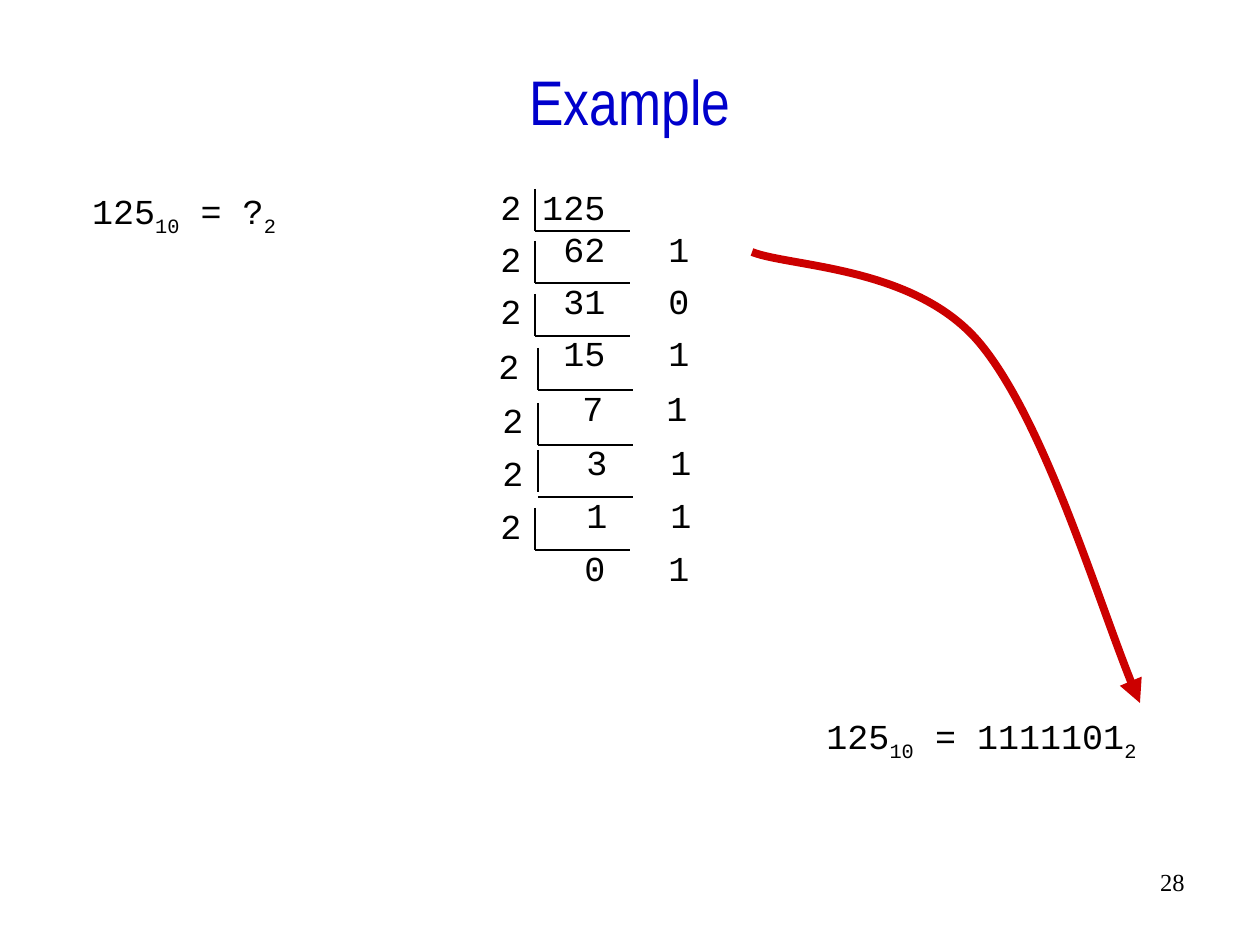
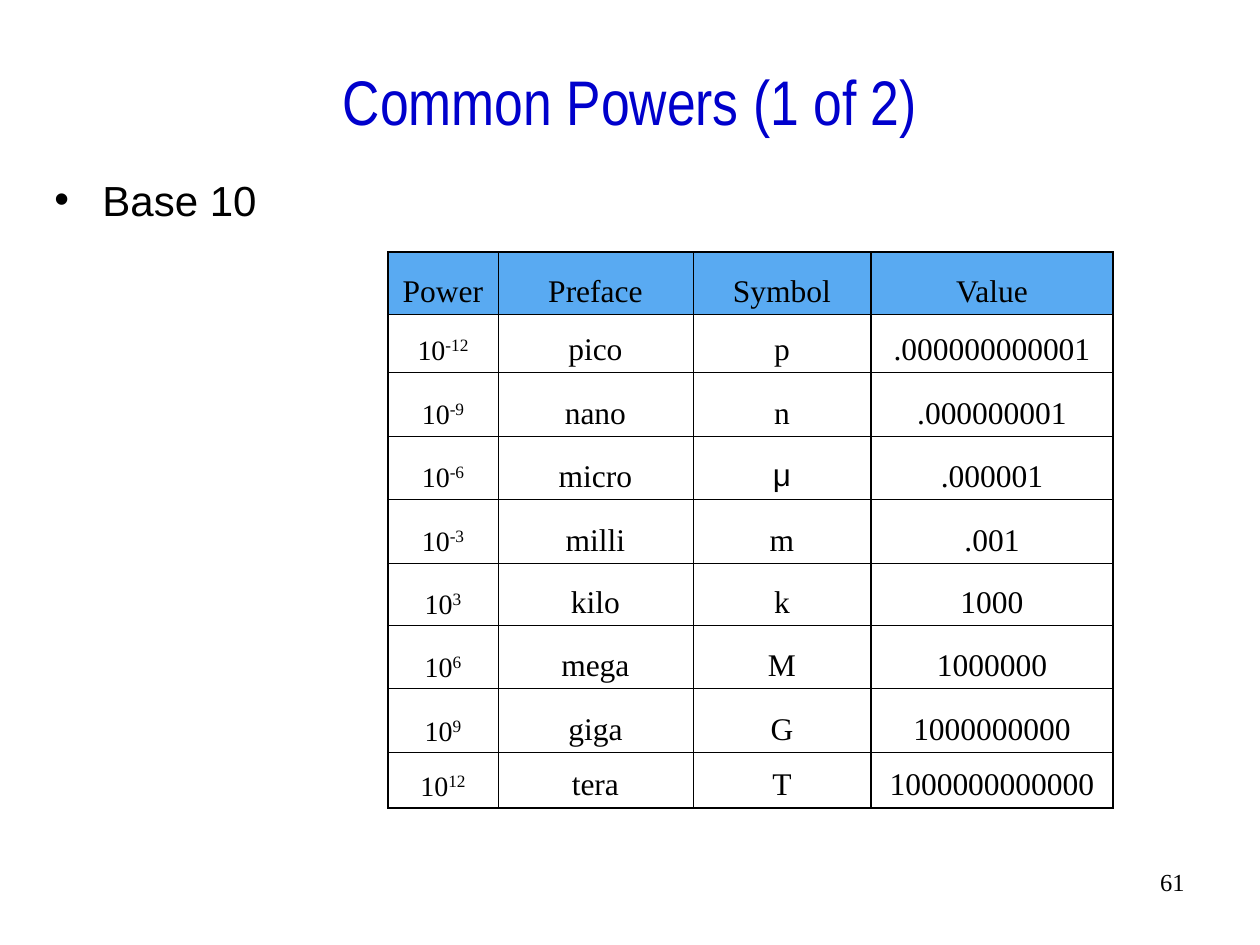
import pptx
import pptx.util
import pptx.dml.color
import pptx.enum.shapes
import pptx.enum.text
import pptx.oxml.ns
import lxml.etree

# Shared style
PX = 914400 // 126
COLORS = {"title": "0000CC", "text": "000000", "arrow": "CC0000", "header": "59AAF2"}
SANS, NARROW, MONO, SERIF = "Arial", "Arial Narrow", "Courier New", "Times New Roman"
ALIGN = pptx.enum.text.PP_ALIGN
ANCHOR = pptx.enum.text.MSO_ANCHOR
TITLE_BOX = (21, 42, 1218, 116)
NUMBER_BOX = (935, 861, 262, 63)
MONO_LEADING = 24

# Content of the division slide
DIVISION = {
    "title": "Example",
    "number": "28",
    "equations": [
        ((42, 189, 284, 60), [("125", 0), ("10", -25), (" = ?", 0), ("2", -25)]),
        ((756, 714, 451, 60), [("125", 0), ("10", -25), (" = 1111101", 0), ("2", -25)]),
    ],
    "dividend": 125,
    "base": 2,
    # text left, text top, bar x, bar top, underline y
    "steps": [
        (488, 179, 535, 189, 231),
        (488, 231, 535, 241, 283),
        (488, 283, 535, 294, 336),
        (486, 338, 538, 348, 390),
        (490, 392, 538, 403, 445),
        (490, 445, 538, 450, 497),
        (488, 498, 535, 508, 550),
    ],
}
STEP_SIZE = (284, 97)
BAR_HEIGHT, UNDERLINE_WIDTH = 42, 95
QUOTIENT_TAB, REMAINDER_TAB = 105, 189
ARROW_CURVE = [(752, 252), (790, 267), (913, 266), (978, 341),
               (1043, 417), (1106, 627), (1140, 703)]

# Content of the powers slide
POWERS = {
    "title": "Common Powers (1 of 2)",
    "number": "61",
    "bullet": "Base 10",
    "header": ("Power", "Preface", "Symbol", "Value"),
    "rows": [
        ("-12", "pico", "p", ".000000000001"),
        ("-9", "nano", "n", ".000000001"),
        ("-6", "micro", "μ", ".000001"),
        ("-3", "milli", "m", ".001"),
        ("3", "kilo", "k", "1000"),
        ("6", "mega", "M", "1000000"),
        ("9", "giga", "G", "1000000000"),
        ("12", "tera", "T", "1000000000000"),
    ],
}
BULLET_BOX = (42, 168, 1155, 672)
BULLET_INDENT = 48
TABLE_LEFT, TABLE_TOP = 388, 252
NAME_WIDTHS, VALUE_WIDTHS = [110, 195, 178], [242]
ROW_HEIGHTS = [62, 58, 64, 63, 64, 63, 63, 64, 55]
OUTER_LINE, INNER_LINE = 1.08, 0.45


def rgb(name):
    return pptx.dml.color.RGBColor.from_string(COLORS[name])


def emu(values):
    return [value * PX for value in values]


def add_xml(parent, tag, **attributes):
    element = lxml.etree.SubElement(parent, pptx.oxml.ns.qn(tag))
    for key, value in attributes.items():
        element.set(key, str(value))
    return element


def add_run(paragraph, text, font, size, color="text", baseline=0):
    run = paragraph.add_run()
    run.text = text
    run.font.name, run.font.size = font, pptx.util.Pt(size)
    run.font.color.rgb = rgb(color)
    if baseline:
        run.font._element.set("baseline", str(baseline * 1000))


def add_text_box(slide, box, align=ALIGN.LEFT):
    frame = slide.shapes.add_textbox(*emu(box)).text_frame
    frame.word_wrap = True
    paragraph = frame.paragraphs[0]
    paragraph.alignment = align
    return paragraph


def add_slide(deck, content):
    slide = deck.slides.add_slide(deck.slide_layouts[5])
    title = slide.shapes.title
    title.left, title.top, title.width, title.height = emu(TITLE_BOX)
    title.text_frame.auto_size = pptx.enum.text.MSO_AUTO_SIZE.NONE
    title.text_frame.vertical_anchor = ANCHOR.MIDDLE
    heading = title.text_frame.paragraphs[0]
    heading.alignment = ALIGN.CENTER
    add_run(heading, content["title"], NARROW, 36, "title")
    add_run(add_text_box(slide, NUMBER_BOX, ALIGN.RIGHT), content["number"], SERIF, 14)
    return slide


def add_line(slide, *ends):
    line = slide.shapes.add_connector(pptx.enum.shapes.MSO_CONNECTOR.STRAIGHT, *emu(ends))
    line.line.color.rgb = rgb("text")
    line.line.width = pptx.util.Pt(1.5)
    add_xml(line._element.spPr, "a:effectLst")


def add_step(slide, place, divisor, dividend, quotient, remainder):
    left, top, bar_x, bar_top, underline = place
    paragraph = add_text_box(slide, (left, top, *STEP_SIZE))
    paragraph.line_spacing = pptx.util.Pt(MONO_LEADING)
    tabs = add_xml(paragraph._p.get_or_add_pPr(), "a:tabLst")
    for stop in (QUOTIENT_TAB, REMAINDER_TAB):
        add_xml(tabs, "a:tab", pos=stop * PX, algn="r")
    add_run(paragraph, f"{divisor}\t{dividend}" if dividend else str(divisor), MONO, 20)
    paragraph.add_line_break()
    add_run(paragraph, f"\t{quotient}\t{remainder}", MONO, 20)
    add_line(slide, bar_x, bar_top, bar_x, bar_top + BAR_HEIGHT)
    add_line(slide, bar_x, underline, bar_x + UNDERLINE_WIDTH, underline)


def add_curved_arrow(slide, points):
    builder = slide.shapes.build_freeform(*points[0], scale=PX)
    builder.add_line_segments(points[1:], close=False)
    arrow = builder.convert_to_shape()
    arrow.shadow.inherit = False
    arrow.fill.background()
    arrow.line.color.rgb = rgb("arrow")
    arrow.line.width = pptx.util.Pt(4.5)
    add_xml(arrow.line._get_or_add_ln(), "a:tailEnd", type="triangle")
    # Turn every three straight segments into one Bézier segment
    segments = list(arrow._element.iter(pptx.oxml.ns.qn("a:lnTo")))
    outline = segments[0].getparent()
    for start in range(0, len(segments), 3):
        curve = add_xml(outline, "a:cubicBezTo")
        for segment in segments[start:start + 3]:
            curve.append(segment[0])
            outline.remove(segment)


def set_borders(cell, widths):
    properties = cell._tc.get_or_add_tcPr()
    for position, (side, width) in enumerate(widths.items()):
        line = lxml.etree.Element(pptx.oxml.ns.qn(f"a:ln{side}"))
        line.set("w", str(int(width * 12700)))
        add_xml(add_xml(line, "a:solidFill"), "a:srgbClr", val=COLORS["text"])
        properties.insert(position, line)


def add_power_table(slide, left, widths, header, rows):
    box = (left, TABLE_TOP, sum(widths), sum(ROW_HEIGHTS))
    table = slide.shapes.add_table(len(ROW_HEIGHTS), len(widths), *emu(box)).table
    table.first_row = table.horz_banding = False
    for column, width in zip(table.columns, widths):
        column.width = width * PX
    for row, height in zip(table.rows, ROW_HEIGHTS):
        row.height = height * PX
    last_row, last_column = len(rows), len(widths) - 1
    for r, texts in enumerate([header, *rows]):
        for c, text in enumerate(texts):
            cell = table.cell(r, c)
            cell.vertical_anchor = ANCHOR.BOTTOM
            if r == 0:
                cell.fill.solid()
                cell.fill.fore_color.rgb = rgb("header")
            else:
                cell.fill.background()
            edges = {"L": c == 0, "R": c == last_column, "T": r == 0, "B": r == last_row}
            set_borders(cell, {side: OUTER_LINE if outer else INNER_LINE
                               for side, outer in edges.items()})
            paragraph = cell.text_frame.paragraphs[0]
            paragraph.alignment = ALIGN.CENTER
            paragraph.line_spacing = 0.8
            if r and header[c] == "Power":
                add_run(paragraph, "10", SERIF, 16)
                add_run(paragraph, text, SERIF, 17, baseline=30)
            else:
                add_run(paragraph, text, SANS if text == "μ" else SERIF, 18)


def build_division(deck):
    slide = add_slide(deck, DIVISION)
    for box, parts in DIVISION["equations"]:
        paragraph = add_text_box(slide, box, ALIGN.CENTER)
        paragraph.line_spacing = pptx.util.Pt(MONO_LEADING)
        for text, baseline in parts:
            add_run(paragraph, text, MONO, 20, baseline=baseline)
    current, base = DIVISION["dividend"], DIVISION["base"]
    for index, place in enumerate(DIVISION["steps"]):
        quotient, remainder = divmod(current, base)
        add_step(slide, place, base, None if index else current, quotient, remainder)
        current = quotient
    add_curved_arrow(slide, ARROW_CURVE)


def build_powers(deck):
    slide = add_slide(deck, POWERS)
    bullet = add_text_box(slide, BULLET_BOX)
    properties = bullet._p.get_or_add_pPr()
    properties.set("marL", str(BULLET_INDENT * PX))
    properties.set("indent", str(-BULLET_INDENT * PX))
    add_xml(properties, "a:buFont", typeface=SANS)
    add_xml(properties, "a:buChar", char="•")
    add_run(bullet, POWERS["bullet"], SANS, 24)
    # Names and values stand in two tables side by side
    header, rows = POWERS["header"], POWERS["rows"]
    add_power_table(slide, TABLE_LEFT, NAME_WIDTHS, header[:3], [row[:3] for row in rows])
    add_power_table(slide, TABLE_LEFT + sum(NAME_WIDTHS), VALUE_WIDTHS,
                    header[3:], [row[3:] for row in rows])


def main():
    deck = pptx.Presentation()
    deck.slide_width, deck.slide_height = pptx.util.Inches(10), pptx.util.Inches(7.5)
    build_division(deck)
    build_powers(deck)
    deck.save("out.pptx")


if __name__ == "__main__":
    main()
